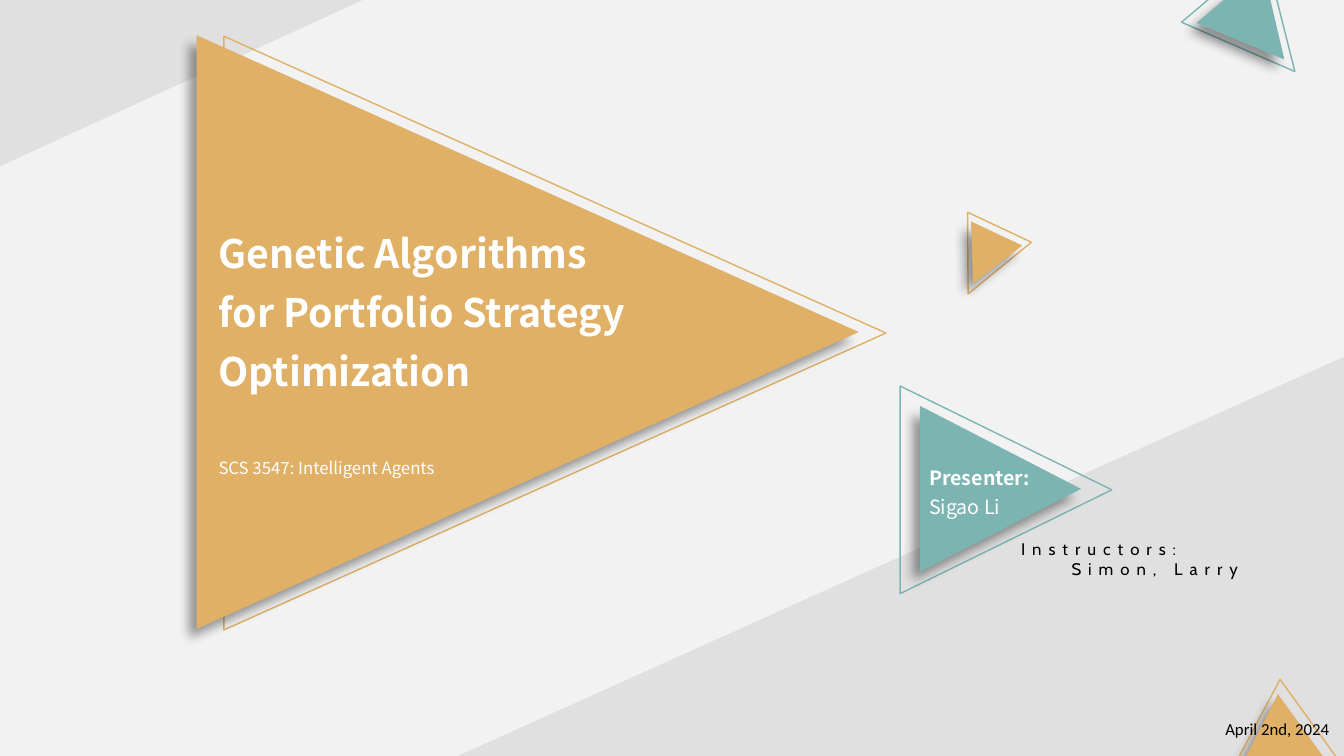
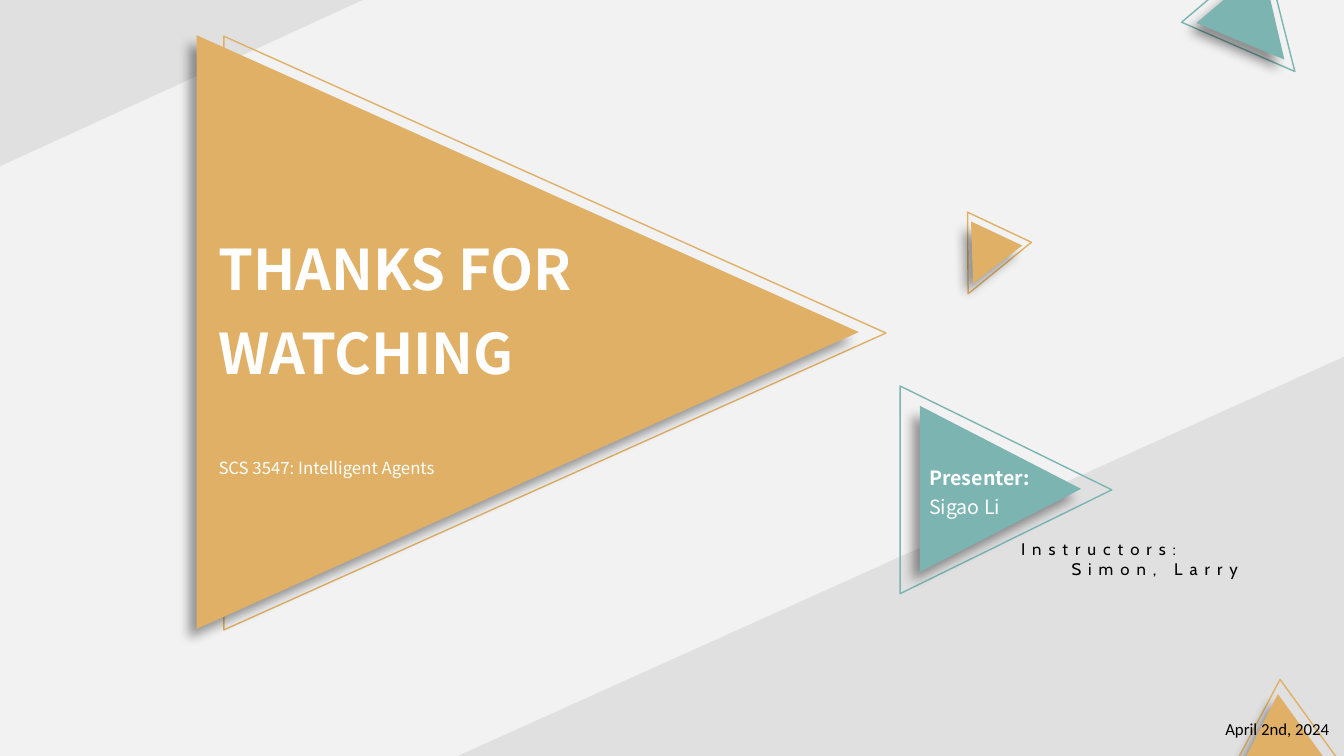
from dataclasses import dataclass

from lxml.etree import SubElement
from pptx import Presentation
from pptx.dml.color import RGBColor
from pptx.enum.shapes import MSO_SHAPE
from pptx.enum.text import MSO_AUTO_SIZE, PP_ALIGN
from pptx.oxml.ns import qn
from pptx.util import Pt

WIDTH, HEIGHT = 960, 540
PALE, GREY = "F2F2F2", "E0E0E0"
GOLD, TEAL = "DFB065", "7BB4B1"
WHITE, BLACK = "FFFFFF", "000000"
HEADING_FONT, DATE_FONT, CREDIT_FONT = "Noto Sans CJK SC", "Calibri", "Cabin"


@dataclass
class Box:
    left: float
    top: float
    width: float
    height: float

    def inner(self, left, top, width, height):
        return Box(self.left + left, self.top + top, width, height)

    def lengths(self):
        return Pt(self.left), Pt(self.top), Pt(self.width), Pt(self.height)


@dataclass
class Style:
    font: str
    size: float
    color: str
    bold: bool = False
    spacing: float = 0


def color(hex_string):
    return RGBColor.from_string(hex_string)


def add_figure(slide, preset, box, fill=None, line=None, rotation=0):
    shape = slide.shapes.add_shape(preset, *box.lengths())
    shape.shadow.inherit = False
    shape.rotation = rotation
    if fill:
        shape.fill.solid()
        shape.fill.fore_color.rgb = color(fill)
    else:
        shape.fill.background()
    if line:
        shape.line.color.rgb = color(line)
        shape.line.width = Pt(1)
    else:
        shape.line.fill.background()
    return shape


def add_soft_shadow(shape):
    effects = shape.element.spPr.find(qn("a:effectLst"))
    shadow = SubElement(effects, qn("a:outerShdw"), blurRad=str(Pt(8)),
                        dist=str(Pt(8)), dir=str(130 * 60000),
                        algn="ctr", rotWithShape="0")
    shade = SubElement(shadow, qn("a:srgbClr"), val=BLACK)
    SubElement(shade, qn("a:alpha"), val="40000")


def add_double_triangle(slide, outline, solid, rotation, hue):
    """Draw an outlined triangle and a shadowed solid one over it."""
    preset = MSO_SHAPE.ISOSCELES_TRIANGLE
    add_figure(slide, preset, outline, line=hue, rotation=rotation)
    add_soft_shadow(add_figure(slide, preset, solid, fill=hue, rotation=rotation))


def add_text(slide, box, lines, line_spacing=None, inset=True):
    """Write (text, style) lines, one paragraph each, and return them."""
    frame = slide.shapes.add_textbox(*box.lengths()).text_frame
    frame.word_wrap = True
    frame.auto_size = MSO_AUTO_SIZE.SHAPE_TO_FIT_TEXT
    if not inset:
        frame.margin_left = frame.margin_right = 0
        frame.margin_top = frame.margin_bottom = 0
    for index, (text, style) in enumerate(lines):
        paragraph = frame.add_paragraph() if index else frame.paragraphs[0]
        paragraph.line_spacing = line_spacing
        run = paragraph.add_run()
        run.text = text
        run.font.name = style.font
        run.font.size = Pt(style.size)
        run.font.bold = style.bold
        run.font.color.rgb = color(style.color)
        properties = run.font._element
        SubElement(properties, qn("a:ea"), typeface=style.font)
        if style.spacing:
            properties.set("spc", str(int(style.spacing * 100)))
    return frame.paragraphs


def add_background(slide):
    slide.background.fill.solid()
    slide.background.fill.fore_color.rgb = color(PALE)
    corners = (
        (Box(0, 0, 259.2, 118.8), "flipV"),
        (Box(WIDTH - 633, HEIGHT - 285.1, 633, 285.1), "flipH"),
    )
    for box, flip in corners:
        corner = add_figure(slide, MSO_SHAPE.RIGHT_TRIANGLE, box, fill=GREY)
        corner.element.spPr.find(qn("a:xfrm")).set(flip, "1")


def add_small_triangles(slide):
    small, tiny = (61.9, 60.5), (40.3, 39.6)
    for outline, offset, size, rotation, hue in (
        (Box(860.4, -18.7, 77.8, 79.2), (6.5, 7.9), small, 139.7, TEAL),
        (Box(866.2, 500.4, 77.8, 79.2), (9.3, 7.9), small, 234.1, GOLD),
        (Box(677.5, 159.8, 50.4, 52.6), (5.8, 5.1), tiny, 205.2, GOLD),
    ):
        add_double_triangle(slide, outline, outline.inner(*offset, *size), rotation, hue)


def add_title_panel(slide, box, title_lines, title_size):
    solid = box.inner(-19.4, -0.7, box.width, box.height)
    add_double_triangle(slide, box, solid, 90, GOLD)
    title = Style(HEADING_FONT, title_size, WHITE, bold=True)
    add_text(slide, box.inner(-35.3, 150.5, 412.6, 134.6),
             [(line, title) for line in title_lines], 1.25)
    add_text(slide, box.inner(-35.3, 318.3, 190.8, 25.2),
             [("SCS 3547: Intelligent Agents", Style(HEADING_FONT, 12, WHITE))], 1.25)


def add_presenter_panel(slide, box):
    add_double_triangle(slide, box, box.inner(10.8, 17.3, 118.8, 115.2), 90, TEAL)
    add_text(slide, box.inner(12.2, 50.4, 90, 49.7), [
        ("Presenter:", Style(HEADING_FONT, 14, WHITE, bold=True)),
        ("Sigao Li", Style(HEADING_FONT, 14, WHITE)),
    ], 1.25)


def add_credits(slide, box):
    style = Style(CREDIT_FONT, 12, BLACK, spacing=5)
    names = add_text(slide, box, [("Instructors:", style), ("Simon, Larry", style)],
                     inset=False)[1]
    properties = names._p.get_or_add_pPr()
    properties.set("marL", "0")
    properties.set("indent", str(Pt(36)))


def add_date(slide, box):
    style = Style(DATE_FONT, 12, BLACK)
    date = add_text(slide, box, [("April 2nd, 2024", style)], Pt(15), inset=False)[0]
    date.alignment = PP_ALIGN.RIGHT


def add_cover(presentation, title_lines, title_size):
    slide = presentation.slides.add_slide(presentation.slide_layouts[6])
    add_background(slide)
    add_small_triangles(slide)
    add_title_panel(slide, Box(184.3, 1.4, 424.1, 473), title_lines, title_size)
    add_presenter_panel(slide, Box(644.4, 274.3, 148.3, 151.2))
    add_date(slide, Box(570.2, 512.6, 379.4, 15.1))
    add_credits(slide, Box(729.4, 384.5, 191.5, 28.8))


def main():
    presentation = Presentation()
    presentation.slide_width, presentation.slide_height = Pt(WIDTH), Pt(HEIGHT)
    add_cover(presentation,
              ["Genetic Algorithms", "for Portfolio Strategy Optimization"], 28)
    add_cover(presentation, ["THANKS FOR WATCHING"], 40)
    presentation.save("out.pptx")


if __name__ == "__main__":
    main()
